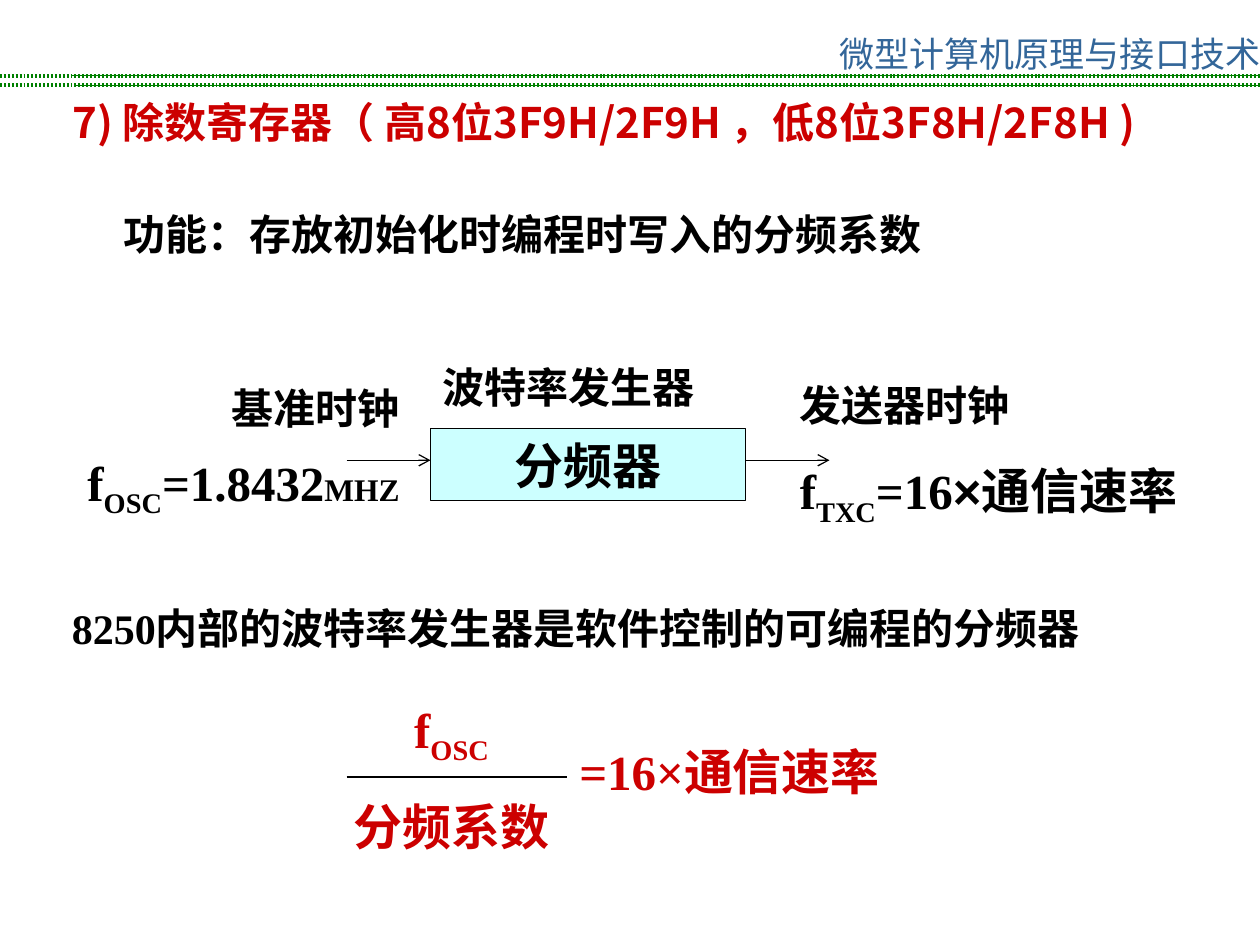
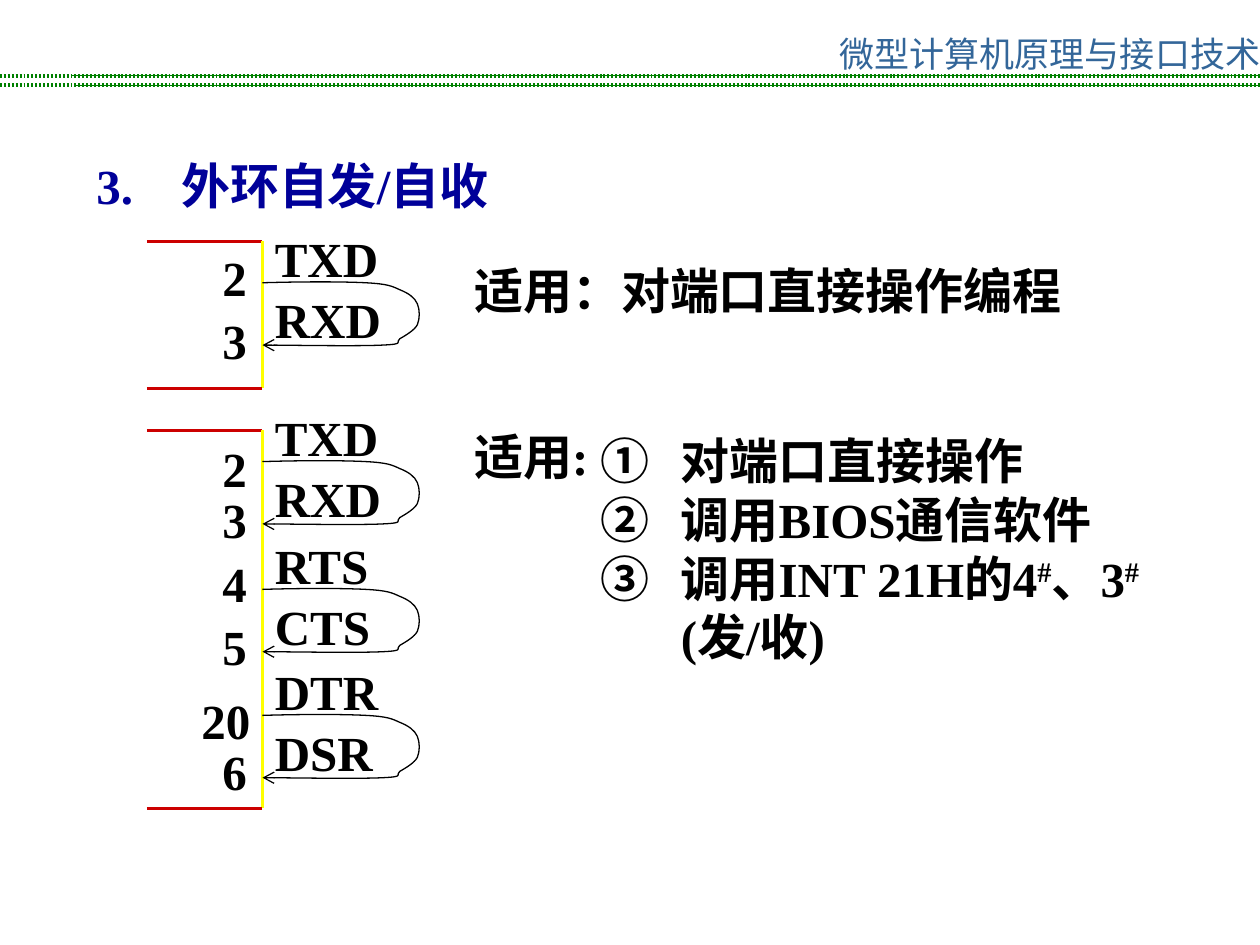
from lxml.etree import SubElement
from pptx import Presentation
from pptx.dml.color import RGBColor
from pptx.enum.shapes import MSO_CONNECTOR, MSO_SHAPE
from pptx.enum.text import MSO_AUTO_SIZE, PP_ALIGN
from pptx.oxml.ns import qn
from pptx.util import Pt

BLACK, WHITE, RED, NAVY, BLUE = "000000", "FFFFFF", "CC0000", "000099", "336699"
GREEN, YELLOW, CYAN = "008000", "FFFF00", "CCFFFF"
SERIF, SANS, CHINESE = "Times New Roman", "Arial", "Noto Sans CJK SC"
LEFT, CENTER, RIGHT = PP_ALIGN.LEFT, PP_ALIGN.CENTER, PP_ALIGN.RIGHT

SLIDE_WIDTH, SLIDE_HEIGHT = 720, 540
COURSE = "微型计算机原理与接口技术"
HEADER_RULES = [(41, 43.2), (42.5, 48.8)]  # start of the thin rule, height

SUB, SUPER = {"baseline": -25}, {"baseline": 30}
ROUND = {"font": SANS}

# Each text: place (left, top, width, height), paragraphs, format.
# A paragraph is a string or a list of strings and (string, format) pairs.
DIVISOR_TEXTS = [
    ((-73.5, 51.5, 912, 36), ["7) 除数寄存器（ 高8位3F9H/2F9H ，低8位3F8H/2F8H )"],
     {"size": 24, "font": CHINESE, "color": RED, "indent": 108}),
    ((63.5, 115.5, 471, 36), ["功能：存放初始化时编程时写入的分频系数"],
     {"size": 24, "font": CHINESE, "wrap": False}),
    ((246, 203, 240, 36), ["波特率发生器"], {"size": 24}),
    ((450, 213.5, 258, 92),
     [[("发送器时钟", {"size": 24})],
      ["f", ("TXC", SUB), "=16", ("×", {"font": SANS}), "通信速率"]],
     {"before": 17.5}),
    ((19.5, 214.8, 216, 86),
     [[("基准时钟", {"size": 24})],
      ["f", ("OSC", SUB), "=1.8432", ("MHZ", {"size": 18})]],
     {"before": 11.2, "align": RIGHT}),
    ((34, 340.5, 686, 36), ["8250内部的波特率发生器是软件控制的可编程的分频器"], {"size": 24}),
    ((186, 396, 144, 96.5), [["f", ("OSC", SUB)], "分频系数"],
     {"before": 17.5, "color": RED, "align": CENTER}),
    ((324, 420, 210, 41), ["=16×通信速率"], {"color": RED}),
]
DIVIDER = (246, 245, 180, 41)
CLOCK_ARROWS = [(198, 246), (426, 474)]
CLOCK_Y = 263
FRACTION_BAR = (198, 444, 324, 444)

LOOP_TEXTS = [
    ((48, 85.3, 282, 41), ["3.\t外环自发/自收"],
     {"color": NAVY, "indent": 48.5, "hanging": 48.5}),
    ((264, 145.5, 414, 41), ["适用：对端口直接操作编程"], {}),
    ((336, 242.4, 354, 142),
     [[("①", ROUND), "\t对端口直接操作"],
      [("②", ROUND), "\t调用BIOS通信软件"],
      [("③", ROUND), "\t调用INT 21H的4", ("#", SUPER), "、3",
       ("# ", SUPER), "(发/收)"]],
     {"indent": 46, "hanging": 46}),
    ((264, 240, 186, 41), ["适用:"], {}),
]
PORT_LEFT, PORT_RIGHT = 84, 150
PORTS = [(138, 222), (246, 462)]  # top and bottom of each connector
PINS = [("2", 138), ("3", 174), ("2", 247), ("3", 276),
        ("4", 313), ("5", 349), ("20", 391), ("6", 420)]
# Sender, receiver, top, whether both signals carry a white bar.
LOOPS = [("TXD", "RXD", 161.6, False), ("TXD", "RXD", 263.8, False),
         ("RTS", "CTS", 336.8, True), ("DTR", "DSR", 408.8, True)]
SIGNAL_BARS = [(204, -25), (210, 11)]  # right end, offset from the loop top
# Bezier segments of a loop, from (0, 0): two controls and an end each.
LOOP_CURVE = [
    ((23, -0.7), (46, -0.7), (59, 0)),
    ((72, 0.7), (74, 2), (78.5, 4)),
    ((83.5, 6), (87, 8.5), (88.5, 12)),
    ((90, 15.5), (90, 20.5), (88.5, 24)),
    ((87, 27), (82, 30), (78.5, 32)),
    ((75.5, 34), (82, 35), (69, 35.6)),
    ((56, 36.3), (11.5, 35.6), (0, 35.6)),
]


def rgb(value):
    return RGBColor.from_string(value)


def points(values):
    return [Pt(value) for value in values]


def format_paragraph(para, align, before, indent, hanging):
    para.alignment = align
    para.space_before = Pt(before)
    properties = para._p.get_or_add_pPr()
    properties.set("marL", str(Pt(indent)))
    properties.set("indent", str(Pt(-hanging)))


def add_span(para, text, size, font, color, bold, baseline=0):
    span = para.add_run()
    span.text = text
    span.font.size = Pt(size)
    span.font.bold = bold
    span.font.color.rgb = rgb(color)
    span.font.name = font
    properties = span._r.get_or_add_rPr()
    SubElement(properties, qn("a:ea"), typeface=CHINESE)
    if baseline:
        properties.set("baseline", str(baseline * 1000))


def write(box, paragraphs, size=28, font=SERIF, color=BLACK, bold=True, align=LEFT,
          before=0, indent=0, hanging=0, wrap=True):
    """Fill a shape with paragraphs; a span's own format overrides the shared one."""
    base = {"size": size, "font": font, "color": color, "bold": bold}
    frame = box.text_frame
    frame.word_wrap = wrap
    if not wrap:
        frame.auto_size = MSO_AUTO_SIZE.SHAPE_TO_FIT_TEXT
    for index, spans in enumerate(paragraphs):
        para = frame.add_paragraph() if index else frame.paragraphs[0]
        format_paragraph(para, align, before if index else 0, indent, hanging)
        for item in [spans] if isinstance(spans, str) else spans:
            text, own = (item, {}) if isinstance(item, str) else item
            add_span(para, text, **{**base, **own})


def add_text(page, place, paragraphs, **style):
    write(page.shapes.add_textbox(*points(place)), paragraphs, **style)


def style_line(shape, color, width, arrow=False, dotted=False):
    shape.line.color.rgb = rgb(color)
    shape.line.width = Pt(width)
    outline = shape.line._get_or_add_ln()
    if dotted:
        dashes = SubElement(outline, qn("a:custDash"))
        SubElement(dashes, qn("a:ds"), d="50000", sp="50000")
    if arrow:
        SubElement(outline, qn("a:tailEnd"), type="arrow")


def add_line(page, ends, color=BLACK, width=0.75, **style):
    line = page.shapes.add_connector(MSO_CONNECTOR.STRAIGHT, *points(ends))
    style_line(line, color, width, **style)
    SubElement(line._element.spPr, qn("a:effectLst"))


def add_loop(page, left, top):
    """A curved arrow: an outline through the segment ends, then bent by the controls."""
    ends = [points((left + x, top + y)) for _, _, (x, y) in LOOP_CURVE]
    builder = page.shapes.build_freeform(Pt(left), Pt(top), scale=1.0)
    builder.add_line_segments(ends, close=False)
    loop = builder.convert_to_shape()
    for segment, straight in zip(LOOP_CURVE, list(loop._element.iter(qn("a:lnTo")))):
        outline = straight.getparent()
        outline.remove(straight)
        curve = SubElement(outline, qn("a:cubicBezTo"))
        for x, y in segment:
            SubElement(curve, qn("a:pt"), x=str(Pt(x)), y=str(Pt(y)))
    loop.shadow.inherit = False
    loop.fill.background()
    style_line(loop, BLACK, 0.75, arrow=True)


def add_page(deck, texts):
    """A blank page with the course header and its texts."""
    page = deck.slides.add_slide(deck.slide_layouts[6])
    add_text(page, (472.5, 15.2, 255, 36), [COURSE], size=20, font=CHINESE,
             color=BLUE, bold=False, align=CENTER, wrap=False)
    for start, y in HEADER_RULES:
        add_line(page, (start, y, SLIDE_WIDTH, y), GREEN)
        add_line(page, (0, y, SLIDE_WIDTH, y), GREEN, 2.25, dotted=True)
    for place, paragraphs, style in texts:
        add_text(page, place, paragraphs, **style)
    return page


def build_divisor_page(deck):
    page = add_page(deck, DIVISOR_TEXTS)
    divider = page.shapes.add_shape(MSO_SHAPE.RECTANGLE, *points(DIVIDER))
    divider.shadow.inherit = False
    divider.fill.solid()
    divider.fill.fore_color.rgb = rgb(CYAN)
    style_line(divider, BLACK, 0.75)
    write(divider, ["分频器"], align=CENTER)
    for start, end in CLOCK_ARROWS:
        add_line(page, (start, CLOCK_Y, end, CLOCK_Y), arrow=True)
    add_line(page, FRACTION_BAR)


def build_loop_page(deck):
    page = add_page(deck, LOOP_TEXTS)
    for top, bottom in PORTS:
        add_line(page, (PORT_LEFT, top, PORT_RIGHT, top), RED, 2.25)
        add_line(page, (PORT_RIGHT, top, PORT_RIGHT, bottom), YELLOW, 2.25)
        add_line(page, (PORT_LEFT, bottom, PORT_RIGHT, bottom), RED, 2.25)
    for pin, top in PINS:
        left = 120 if len(pin) == 1 else 108
        add_text(page, (left, top, 48, 41), [pin])
    for sender, receiver, top, barred in LOOPS:
        add_text(page, (PORT_RIGHT, top - 34.4, 102, 41), [sender])
        add_loop(page, PORT_RIGHT, top)
        add_text(page, (PORT_RIGHT, top + 0.4, 102, 41), [receiver])
        for right, offset in SIGNAL_BARS if barred else []:
            add_line(page, (PORT_RIGHT + 6, top + offset, right, top + offset), WHITE)


def main():
    deck = Presentation()
    deck.slide_width, deck.slide_height = points((SLIDE_WIDTH, SLIDE_HEIGHT))
    build_divisor_page(deck)
    build_loop_page(deck)
    deck.save("out.pptx")


if __name__ == "__main__":
    main()
